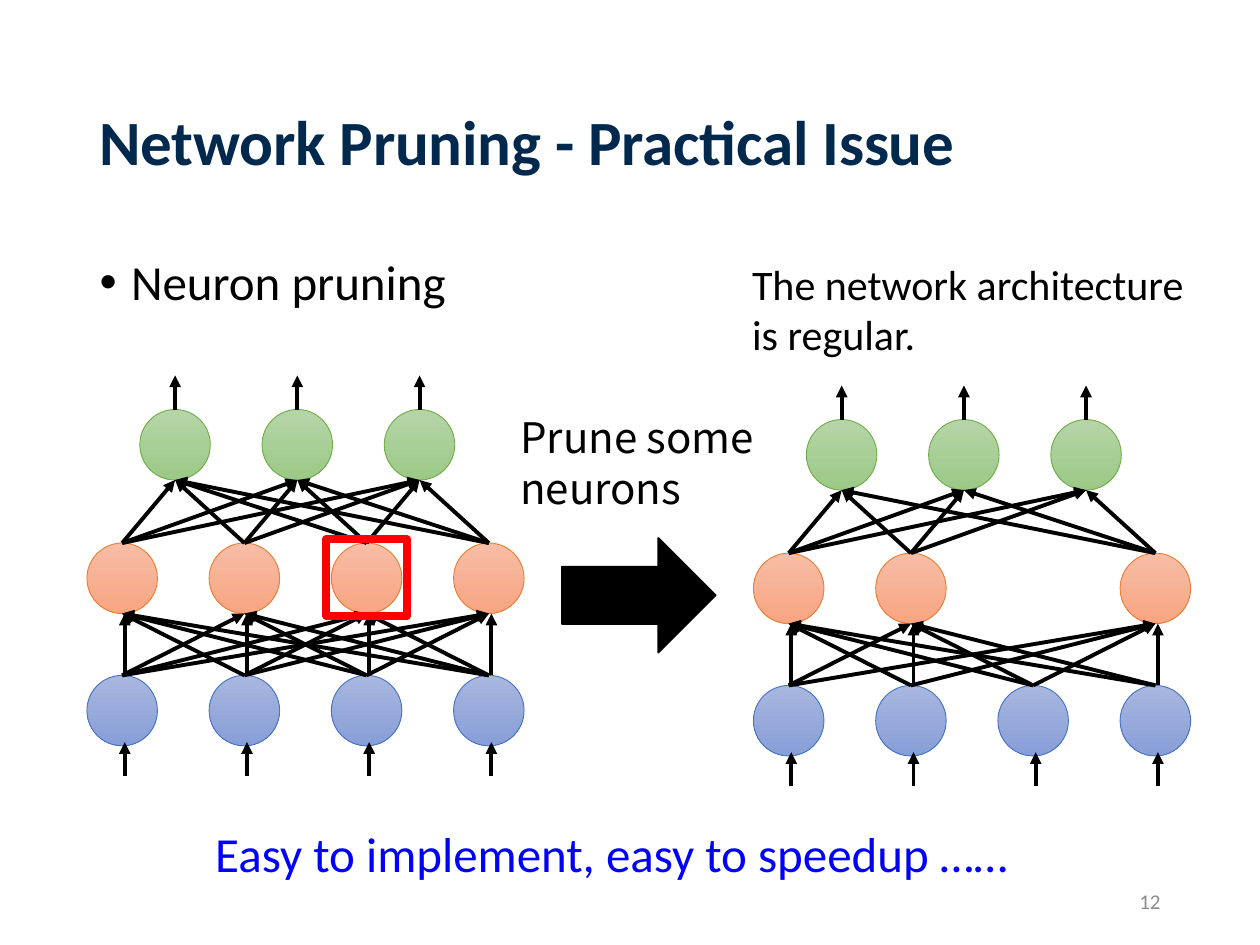
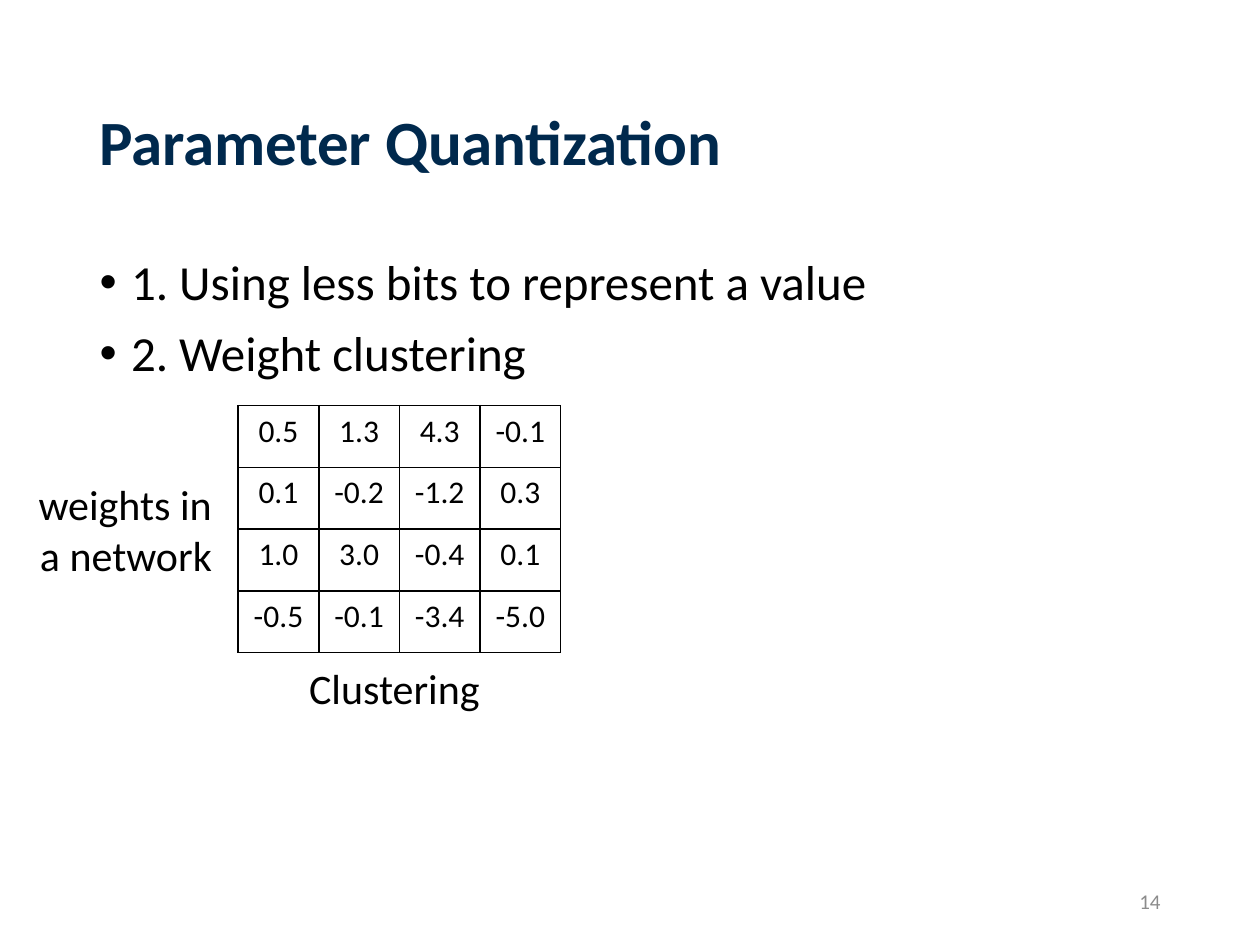
"""Build two slides on network pruning and parameter quantization."""
import dataclasses
import itertools
import typing

import lxml.etree
import pptx
import pptx.dml.color
import pptx.enum.shapes
import pptx.enum.text
import pptx.oxml.ns
import pptx.util

Inches = pptx.util.Inches
Pt = pptx.util.Pt
Align = pptx.enum.text.PP_ALIGN
Anchor = pptx.enum.text.MSO_ANCHOR
Fit = pptx.enum.text.MSO_AUTO_SIZE
Kind = pptx.enum.shapes.MSO_SHAPE
qn = pptx.oxml.ns.qn

HUES = {
    "navy": "00294D", "black": "000000", "white": "FFFFFF", "grey": "8C8C8C",
    "blue": "0000FF", "red": "FF0000",
}
FONT = "Calibri"
SIZE = 0.56
PITCH = 0.97
STUB = 0.27
SKEW = 0.02


@dataclasses.dataclass(frozen=True)
class Layer:
    left: float
    top: float
    count: int
    light: str
    dark: str
    edge: str


@dataclasses.dataclass(frozen=True)
class Label:
    text: str
    box: tuple[float, float, float, float]
    size: float = 24
    hue: str = "black"
    font: str = FONT
    align: typing.Any = Align.LEFT
    anchor: typing.Any = Anchor.TOP
    fit: typing.Any = Fit.SHAPE_TO_FIT_TEXT


INPUT = Layer(0.69, 5.36, 4, "A8B7DF", "889ED7", "4472C4")
HIDDEN = Layer(0.69, 4.31, 4, "F7BDA5", "F8A582", "ED7D31")
OUTPUT = Layer(1.11, 3.25, 3, "B5D5A7", "9CC987", "70AD47")
PRUNED = 2

LABELS = [
    Label("Prune some neurons", (4.03, 3.22, 2.25, 0.91), font="Noto Sans CJK TC"),
    Label("The network architecture is regular.", (5.87, 2, 3.68, 0.91)),
    Label("Easy to implement, easy to speedup ……", (1.61, 6.49, 6.99, 0.57), 28, "blue"),
]
NOTES = [
    Label("weights in a network", (0, 3.75, 1.78, 0.91), align=Align.RIGHT),
    Label("Clustering", (2.24, 5.21, 1.78, 0.5), align=Align.CENTER),
]
WEIGHTS = [
    ["0.5", "1.3", "4.3", "-0.1"],
    ["0.1", "-0.2", "-1.2", "0.3"],
    ["1.0", "3.0", "-0.4", "0.1"],
    ["-0.5", "-0.1", "-3.4", "-5.0"],
]


def tint(name: str) -> pptx.dml.color.RGBColor:
    return pptx.dml.color.RGBColor.from_string(HUES.get(name, name))


def apply(item: typing.Any, values: dict[str, typing.Any]) -> None:
    for key, value in values.items():
        setattr(item, key, value)


def style(font: typing.Any, size: float, hue: str = "black", name: str = FONT,
          bold: bool = False) -> None:
    apply(font, {"size": Pt(size), "name": name, "bold": bold})
    font.color.rgb = tint(hue)


def place(shape: typing.Any, box: tuple[float, float, float, float]) -> None:
    apply(shape, dict(zip(("left", "top", "width", "height"), map(Inches, box))))


def write(slide: typing.Any, label: Label) -> None:
    frame = slide.shapes.add_textbox(*map(Inches, label.box)).text_frame
    apply(frame, {"word_wrap": True, "auto_size": label.fit,
                  "vertical_anchor": label.anchor, "text": label.text})
    line = frame.paragraphs[0]
    line.alignment = label.align
    style(line.font, label.size, label.hue, label.font)


def start(deck: typing.Any, title: str, points: list[str], tall: float,
          page: int) -> typing.Any:
    slide = deck.slides.add_slide(deck.slide_layouts[1])
    head, body = slide.placeholders
    place(head, (0.69, 0.43, 8.62, 1.45))
    apply(head.text_frame, {"text": title, "vertical_anchor": Anchor.MIDDLE,
                            "auto_size": Fit.NONE})
    line = head.text_frame.paragraphs[0]
    apply(line, {"alignment": Align.LEFT, "line_spacing": 0.9})
    style(line.runs[0].font, 36, "navy", bold=True)
    line.runs[0].font._element.set("spc", "-10")

    place(body, (0.69, 2, 8.62, tall))
    apply(body.text_frame, {"text": "\n".join(points), "auto_size": Fit.NONE})
    for index, line in enumerate(body.text_frame.paragraphs):
        props = line._p.get_or_add_pPr()
        props.set("marL", str(Inches(0.25)))
        props.set("indent", str(-Inches(0.25)))
        apply(line, {"line_spacing": 0.9, "space_before": Pt(10 if index else 0)})
        style(line.font, 28)
    write(slide, Label(str(page), (7.06, 6.95, 2.25, 0.4), 12, "grey",
                       align=Align.RIGHT, anchor=Anchor.MIDDLE, fit=Fit.NONE))
    return slide


def shape(slide: typing.Any, kind: typing.Any, box: tuple[float, float, float, float],
          edge: str, width: float) -> typing.Any:
    item = slide.shapes.add_shape(kind, *map(Inches, box))
    item.shadow.inherit = False
    item.line.color.rgb = tint(edge)
    item.line.width = Pt(width)
    return item


def arrow(slide: typing.Any, x1: float, y1: float, x2: float, y2: float) -> None:
    link = slide.shapes.add_connector(
        pptx.enum.shapes.MSO_CONNECTOR.STRAIGHT, *map(Inches, (x1, y1, x2, y2)))
    link.line.color.rgb = tint("black")
    link.line.width = Pt(2.25)
    lxml.etree.SubElement(link.line._get_or_add_ln(), qn("a:tailEnd"), type="triangle")
    lxml.etree.SubElement(link._element.spPr, qn("a:effectLst"))


def draw_net(slide: typing.Any, dx: float = 0, dy: float = 0,
             gone: typing.Optional[int] = None) -> None:
    def mids(layer: Layer) -> dict[int, float]:
        return {i: layer.left + dx + i * PITCH + SIZE / 2 for i in range(layer.count)
                if layer is not HIDDEN or i != gone}

    for layer in (INPUT, HIDDEN, OUTPUT):
        for mid in mids(layer).values():
            node = shape(slide, Kind.OVAL, (mid - SIZE / 2, layer.top + dy, SIZE, SIZE),
                         layer.edge, 0.5)
            node.fill.gradient()
            node.fill.gradient_angle = 270
            for stop, hue in zip(node.fill.gradient_stops, (layer.light, layer.dark)):
                stop.color.rgb = tint(hue)

    for low, high in ((INPUT, HIDDEN), (HIDDEN, OUTPUT)):
        pairs = itertools.product(mids(low).items(), mids(high).items())
        for (i, x1), (j, x2) in pairs:
            skew = SKEW if low is INPUT and i == j else 0
            arrow(slide, x1 + skew, low.top + dy, x2 + skew, high.top + SIZE + dy)
    base = INPUT.top + SIZE + dy - 0.03
    for mid in mids(INPUT).values():
        arrow(slide, mid + SKEW, base + STUB, mid + SKEW, base)
    for mid in mids(OUTPUT).values():
        arrow(slide, mid, OUTPUT.top + dy, mid, OUTPUT.top + dy - STUB)


def draw_grid(slide: typing.Any) -> None:
    rows, cols = len(WEIGHTS), len(WEIGHTS[0])
    grid = slide.shapes.add_table(rows, cols, *map(
        Inches, (1.89, 3.22, cols * 0.64, rows * 0.49))).table
    apply(grid, {"first_row": False, "horz_banding": False})
    for cell, text in zip(grid.iter_cells(), itertools.chain(*WEIGHTS)):
        cell.text = text
        line = cell.text_frame.paragraphs[0]
        line.alignment = Align.CENTER
        style(line.font, 18)
        props = cell._tc.get_or_add_tcPr()
        for side in ("lnL", "lnR", "lnT", "lnB"):
            edge = lxml.etree.SubElement(props, qn(f"a:{side}"), w=str(Pt(1)))
            paint = lxml.etree.SubElement(edge, qn("a:solidFill"))
            lxml.etree.SubElement(paint, qn("a:srgbClr"), val=HUES["black"])
        cell.fill.solid()
        cell.fill.fore_color.rgb = tint("white")


def main() -> None:
    deck = pptx.Presentation()
    apply(deck, {"slide_width": Inches(10), "slide_height": Inches(7.5)})

    prune = start(deck, "Network Pruning - Practical Issue", ["Neuron pruning"], 4.76, 12)
    draw_net(prune)
    block = shape(prune, Kind.RIGHT_ARROW, (4.46, 4.27, 1.22, 0.91), "black", 1)
    block.fill.solid()
    block.fill.fore_color.rgb = tint("black")
    for label in LABELS:
        write(prune, label)
    mark = shape(prune, Kind.RECTANGLE, (HIDDEN.left + PRUNED * PITCH - 0.04,
                                         HIDDEN.top - 0.03, 0.64, 0.61), "red", 4.5)
    mark.fill.background()
    draw_net(prune, 5.29, 0.08, PRUNED)

    quant = start(deck, "Parameter Quantization",
                  ["1. Using less bits to represent a value", "2. Weight clustering"],
                  5.35, 14)
    draw_grid(quant)
    for label in NOTES:
        write(quant, label)
    deck.save("out.pptx")


if __name__ == "__main__":
    main()
